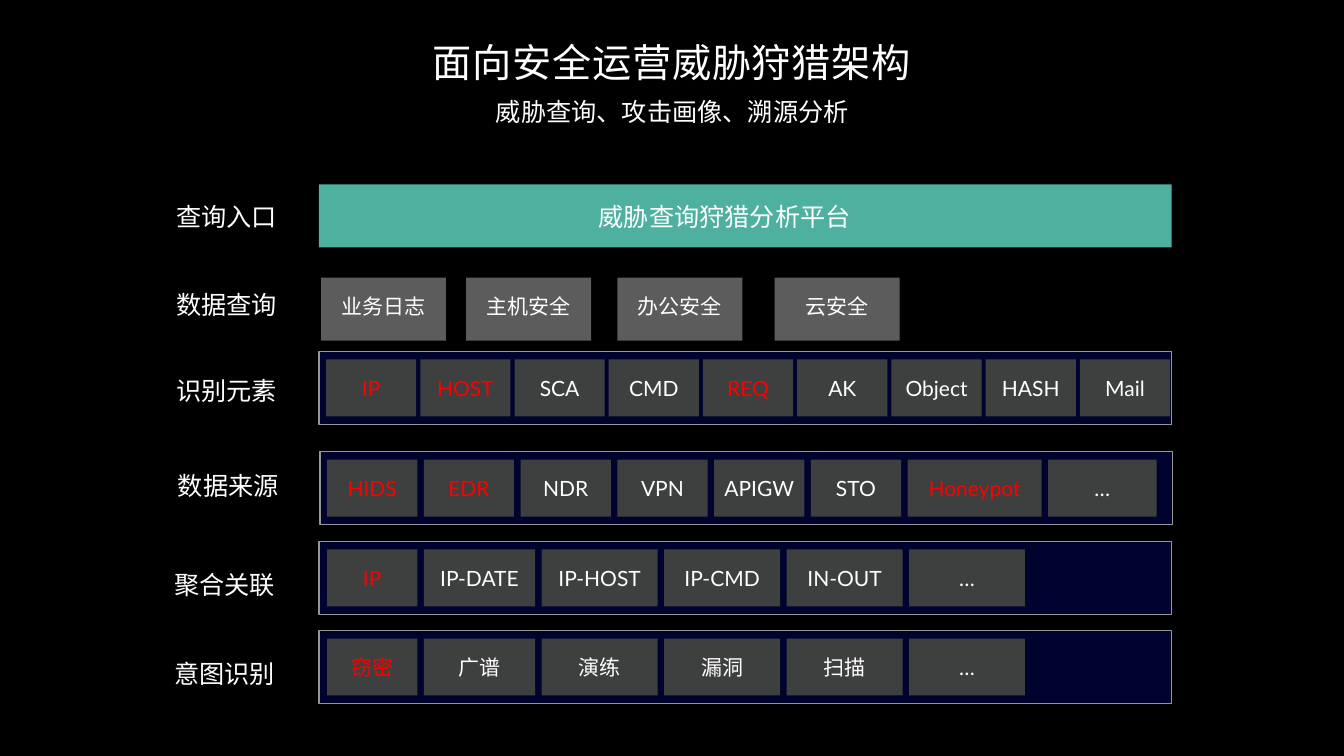
from lxml import etree
from pptx import Presentation
from pptx.dml.color import RGBColor
from pptx.enum.shapes import MSO_SHAPE
from pptx.enum.text import MSO_ANCHOR, MSO_AUTO_SIZE, PP_ALIGN
from pptx.oxml.ns import qn
from pptx.util import Inches, Pt

RECT = MSO_SHAPE.RECTANGLE
MIDDLE = MSO_ANCHOR.MIDDLE
CENTER = PP_ALIGN.CENTER
FIXED = MSO_AUTO_SIZE.NONE

COLORS = {
    "back": "000000", "text": "FFFFFF", "hot": "FF0000",
    "entry": "4EB09F", "query": "5C5C5C", "tile": "3E3F3F",
    "panel": "01064D", "edge": "969696",
}
FONT = "Lato"
LEFT, WIDE = 6.33, 16.92
PANEL_H, TILE_H, BAR_H = 1.45, 1.13, 1.25
PAD = 0.16
HOT = {"IP", "HOST", "REQ", "HIDS", "EDR", "Honeypot", "窃密"}

# text, centre x, centre y
LABELS = [
    ("查询入口", 4.5, 4.3), ("数据查询", 4.5, 6.05),
    ("识别元素", 4.5, 7.75), ("数据来源", 4.53, 9.64),
    ("聚合关联", 4.46, 11.6), ("意图识别", 4.46, 13.37),
]
QUERIES = [("业务日志", 6.37), ("主机安全", 9.25),
           ("办公安全", 12.25), ("云安全", 15.37)]
MIXED = [1.79, 2.21] + [2.3] * 4
# panel left, panel top, first tile left, gap, tile widths, tile texts
PANELS = [
    (LEFT, 6.97, 6.47, 0.08, [1.79] * 9,
     ["IP", "HOST", "SCA", "CMD", "REQ", "AK", "Object", "HASH", "Mail"]),
    (6.35, 8.96, 6.49, 0.13, [1.79] * 6 + [2.66, 2.15],
     ["HIDS", "EDR", "NDR", "VPN", "APIGW", "STO", "Honeypot", "…"]),
    (LEFT, 10.74, 6.49, 0.13, MIXED,
     ["IP", "IP-DATE", "IP-HOST", "IP-CMD", "IN-OUT", "…"]),
    (LEFT, 12.51, 6.49, 0.13, MIXED,
     ["窃密", "广谱", "演练", "漏洞", "扫描", "…"]),
]


def rgb(name):
    return RGBColor.from_string(COLORS[name])


def write(shape, text, size, color="text"):
    """Put one centred line of text into a shape."""
    frame = shape.text_frame
    frame.text = text
    frame.word_wrap = True
    frame.auto_size = FIXED
    frame.vertical_anchor = MIDDLE
    frame.margin_left = frame.margin_right = Inches(0.02)
    frame.margin_top = frame.margin_bottom = Inches(0.02)
    para = frame.paragraphs[0]
    para.alignment = CENTER
    para.font.name = FONT
    para.font.size = Pt(size)
    para.font.color.rgb = rgb(color)


def add_title(slide, text):
    title = slide.shapes.title
    title.left, title.top = Inches(5), Inches(0.72)
    title.width, title.height = Inches(16.67), Inches(1.01)
    write(title, text, 56)
    run = title.text_frame.paragraphs[0].runs[0]
    run.font._element.set("spc", "110")


def add_label(slide, text, mid_x, mid_y, width=2.87, height=0.84):
    box = slide.shapes.add_textbox(
        Inches(mid_x - width / 2), Inches(mid_y - height / 2),
        Inches(width), Inches(height))
    write(box, text, 36)


def add_box(slide, left, top, width, height, fill):
    box = slide.shapes.add_shape(
        RECT, Inches(left), Inches(top), Inches(width), Inches(height))
    box.shadow.inherit = False
    box.fill.solid()
    box.fill.fore_color.rgb = rgb(fill)
    box.line.fill.background()
    return box


def add_panel(slide, left, top):
    """Draw the outlined, see-through strip behind a row of tiles."""
    panel = add_box(slide, left, top, WIDE, PANEL_H, "panel")
    color = panel._element.spPr.find(qn("a:solidFill"))[0]
    etree.SubElement(color, qn("a:alpha")).set("val", "60000")
    panel.line.color.rgb = rgb("edge")
    panel.line.width = Pt(2)


def add_row(slide, left, top, start, gap, widths, texts):
    add_panel(slide, left, top)
    x = start
    for text, width in zip(texts, widths):
        tile = add_box(slide, x, top + PAD, width, TILE_H, "tile")
        write(tile, text, 30, "hot" if text in HOT else "text")
        x += width + gap


def main():
    deck = Presentation()
    deck.slide_width, deck.slide_height = Inches(26.67), Inches(15)
    slide = deck.slides.add_slide(deck.slide_layouts[5])
    slide.background.fill.solid()
    slide.background.fill.fore_color.rgb = rgb("back")

    add_title(slide, "面向安全运营威胁狩猎架构")
    add_label(slide, "威胁查询、攻击画像、溯源分析", 13.34, 2.21, 16.67, 1.16)
    for label in LABELS:
        add_label(slide, *label)

    entry = add_box(slide, LEFT, 3.66, WIDE, BAR_H, "entry")
    write(entry, "威胁查询狩猎分析平台", 36)
    entry.text_frame.margin_right = Inches(0.84)
    for text, left in QUERIES:
        query = add_box(slide, left, 5.51, 2.48, BAR_H, "query")
        write(query, text, 30)
        query.text_frame.margin_bottom = Inches(0.14)
    for panel in PANELS:
        add_row(slide, *panel)

    deck.save("out.pptx")


if __name__ == "__main__":
    main()
